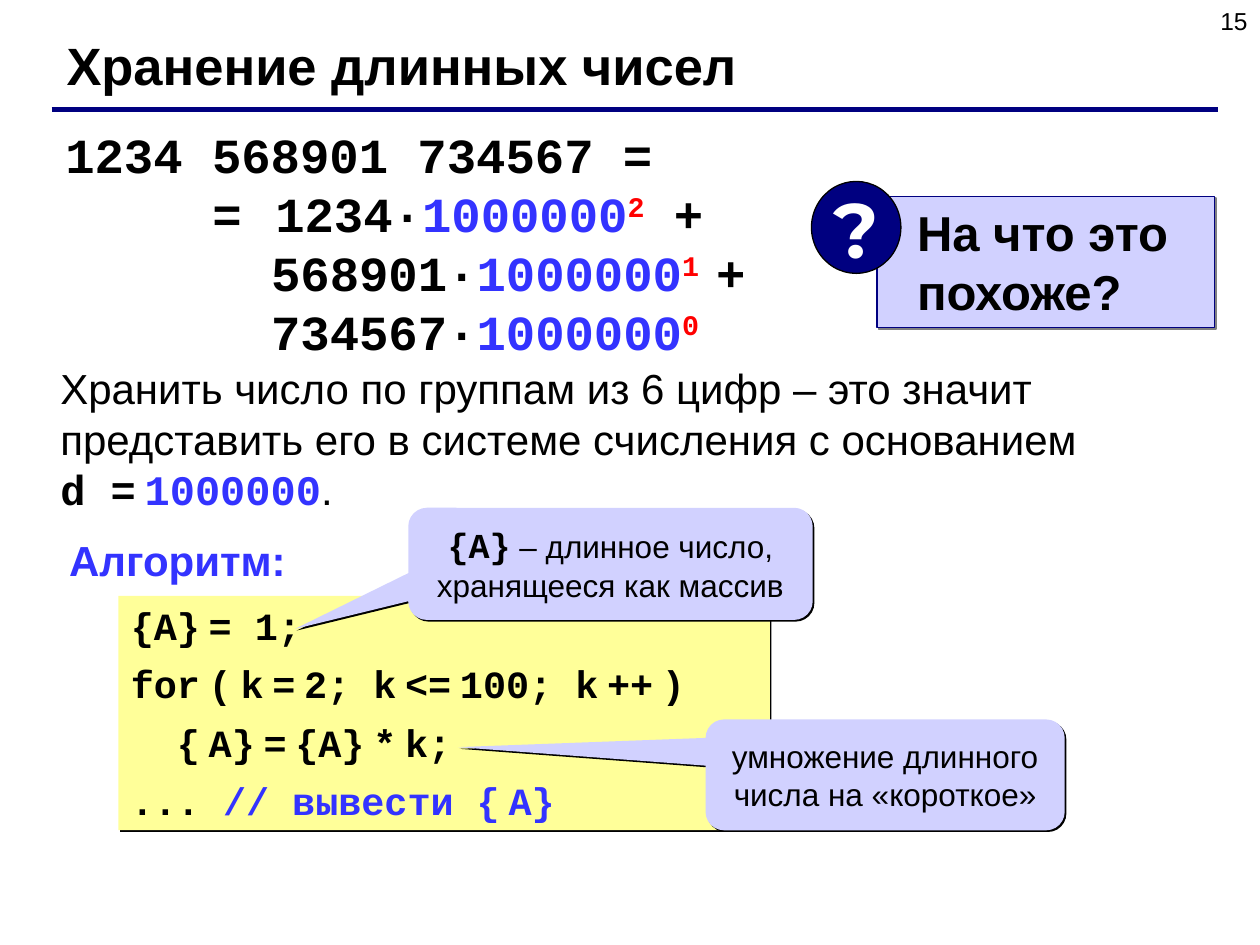
from typing import NamedTuple, Optional

from lxml.etree import SubElement
from pptx import Presentation
from pptx.dml.color import RGBColor
from pptx.enum.shapes import MSO_CONNECTOR, MSO_SHAPE
from pptx.enum.text import MSO_ANCHOR, PP_ALIGN
from pptx.oxml.ns import qn
from pptx.util import Inches, Pt

BLACK = RGBColor(0, 0, 0)
WHITE = RGBColor(255, 255, 255)
NAVY = RGBColor(0, 0, 128)
BLUE = RGBColor(0x33, 0x33, 0xFF)
RED = RGBColor(255, 0, 0)
GRAY = RGBColor(128, 128, 128)
YELLOW = RGBColor(0xFF, 0xFF, 0x99)
LAVENDER = RGBColor(0xD1, 0xD1, 0xFF)
SANS, MONO = "Arial", "Courier New"


class Box(NamedTuple):
    left: float
    top: float
    width: float
    height: float


class Run(NamedTuple):
    text: str
    color: Optional[RGBColor] = None
    font: Optional[str] = None
    size: Optional[float] = None
    bold: Optional[bool] = None
    superscript: bool = False


class Line(NamedTuple):
    runs: list
    indent: float = 0
    tab: float = 0


class Style(NamedTuple):
    size: float
    font: str = SANS
    bold: bool = False
    color: RGBColor = BLACK
    align: PP_ALIGN = PP_ALIGN.LEFT
    space_before: float = 0


class Callout(NamedTuple):
    box: Box
    pointer: tuple
    runs: list


def write(shape, lines: list, style: Style, anchor=MSO_ANCHOR.TOP, wrap=True) -> None:
    frame = shape.text_frame
    frame.word_wrap = wrap
    frame.vertical_anchor = anchor
    for index, line in enumerate(lines):
        paragraph = frame.paragraphs[0] if index == 0 else frame.add_paragraph()
        if line.indent:
            properties = paragraph._p.get_or_add_pPr()
            properties.set("marL", str(Inches(line.indent)))
            properties.set("indent", "0")
            if line.tab:
                tabs = SubElement(properties, qn("a:tabLst"))
                SubElement(tabs, qn("a:tab"), pos=str(Inches(line.tab)), algn="l")
        paragraph.alignment = style.align
        paragraph.space_before = Pt(style.space_before if index else 0)
        font = paragraph.font
        font.name, font.size, font.bold = style.font, Pt(style.size), style.bold
        font.color.rgb = style.color
        for item in line.runs:
            add_run(paragraph, item, style)


def add_run(paragraph, item: Run, style: Style) -> None:
    for index, part in enumerate(item.text.split("\n")):
        if index:
            paragraph.add_line_break()
        if not part:
            continue
        run = paragraph.add_run()
        run.text = part
        run.font.name = item.font or style.font
        run.font.size = Pt(item.size or style.size)
        run.font.bold = style.bold if item.bold is None else item.bold
        run.font.color.rgb = item.color or style.color
        if item.superscript:
            run.font._element.set("baseline", "30000")


def add_text(slide, box: Box, lines: list, style: Style) -> None:
    write(slide.shapes.add_textbox(*map(Inches, box)), lines, style)


def add_block(slide, kind, box: Box, fill: RGBColor, line=None, width=1.0, shadow=None):
    shape = slide.shapes.add_shape(kind, *map(Inches, box))
    shape.shadow.inherit = False
    shape.fill.solid()
    shape.fill.fore_color.rgb = fill
    if line is None:
        shape.line.fill.background()
    else:
        shape.line.color.rgb = line
        shape.line.width = Pt(width)
    if shadow is not None:
        effects = shape._element.spPr.find(qn("a:effectLst"))
        outer = SubElement(effects, qn("a:outerShdw"), dist=str(Pt(1.4)), dir="2700000",
                           algn="ctr", rotWithShape="0")
        SubElement(outer, qn("a:srgbClr"), val=str(shadow))
    return shape


def add_callout(slide, callout: Callout) -> None:
    shape = add_block(slide, MSO_SHAPE.ROUNDED_RECTANGULAR_CALLOUT, callout.box,
                      LAVENDER, shadow=BLACK)
    shape.adjustments[0], shape.adjustments[1] = callout.pointer
    write(shape, [Line(callout.runs)], Style(18, align=PP_ALIGN.CENTER), MSO_ANCHOR.MIDDLE)


def code_runs(text: str, color: Optional[RGBColor] = None) -> list:
    """Code in which each "~" is a narrow space."""
    runs = []
    for index, part in enumerate(text.split("~")):
        if index:
            runs.append(Run(" ", color, SANS, 18))
        runs.append(Run(part, color))
    return runs


def power(group: str, exponent: str, *rest: Run) -> list:
    return [Run(group + "·"), Run("1000000", BLUE),
            Run(exponent, RED, superscript=True), *rest]


def main() -> None:
    presentation = Presentation()
    presentation.slide_width, presentation.slide_height = Inches(10), Inches(7.5)
    slide = presentation.slides.add_slide(presentation.slide_layouts[6])

    # Page number, title and rule
    add_text(slide, Box(7.67, 0, 2.33, 0.52), [Line([Run("15")])],
             Style(14, align=PP_ALIGN.RIGHT))
    rule = slide.shapes.add_connector(MSO_CONNECTOR.STRAIGHT, Inches(0.41), Inches(0.87),
                                      Inches(9.67), Inches(0.87))
    rule.line.color.rgb = NAVY
    rule.line.width = Pt(3)
    SubElement(rule._element.spPr, qn("a:effectLst"))
    add_text(slide, Box(0.43, 0.21, 8.9, 0.6), [Line([Run("Хранение длинных чисел")])],
             Style(30, bold=True))

    # Number split into groups of six digits
    character = 28 * 0.6 / 72
    add_text(slide, Box(0.42, 0.94, 5.93, 1.97), [
        Line([Run("1234 568901 734567 =")]),
        Line(power("=\t1234", "2", Run(" +")), 5 * character, 9 * character),
        Line(power("568901", "1 ", Run("+")), 7 * character),
        Line(power("734567", "0"), 7 * character),
    ], Style(28, MONO, True))

    # Explanation
    add_text(slide, Box(0.38, 2.83, 9.35, 1.3), [Line([
        Run("Хранить число по группам из 6 цифр – это значит "
            "представить его в системе счисления с основанием\n"),
        Run("d =", font=MONO, bold=True), Run(" ", size=18, bold=True),
        Run("1000000", BLUE, MONO, bold=True), Run("."),
    ])], Style(24))

    # Algorithm
    code = add_block(slide, MSO_SHAPE.RECTANGLE, Box(0.94, 4.73, 5.17, 1.86), YELLOW,
                     shadow=BLACK)
    write(code, [
        Line(code_runs("{A}~= 1;")),
        Line(code_runs("for~(~k~=~2; k~<=~100; k~++~)")),
        Line(code_runs("  {~A}~=~{A}~*~k;")),
        Line([Run("... "), *code_runs("// вывести {~A}", BLUE)]),
    ], Style(22, MONO, True, space_before=6.9))
    add_text(slide, Box(0.45, 4.19, 1.92, 0.5), [Line([Run("Алгоритм:")])],
             Style(24, bold=True, color=BLUE))

    # Callouts
    for callout in (
        Callout(Box(3.24, 4.03, 3.21, 0.89), (-0.78, 0.58),
                [Run("{A}", font=MONO, size=20, bold=True),
                 Run(" – длинное число, хранящееся как массив")]),
        Callout(Box(5.6, 5.71, 2.85, 0.88), (-1.19, -0.25),
                [Run("умножение длинного числа на «короткое»")]),
    ):
        add_callout(slide, callout)

    # Question
    question = add_block(slide, MSO_SHAPE.RECTANGLE, Box(6.96, 1.56, 2.68, 1.04), LAVENDER,
                         NAVY, shadow=GRAY)
    write(question, [Line([Run("На что это\nпохоже?")], 0.22)], Style(28, bold=True))
    badge = add_block(slide, MSO_SHAPE.OVAL, Box(6.44, 1.44, 0.71, 0.73), NAVY, BLACK, 0.75)
    write(badge, [Line([Run("?")])],
          Style(44, "Montserrat", True, WHITE, PP_ALIGN.CENTER), MSO_ANCHOR.MIDDLE, False)

    presentation.save("out.pptx")


if __name__ == "__main__":
    main()
